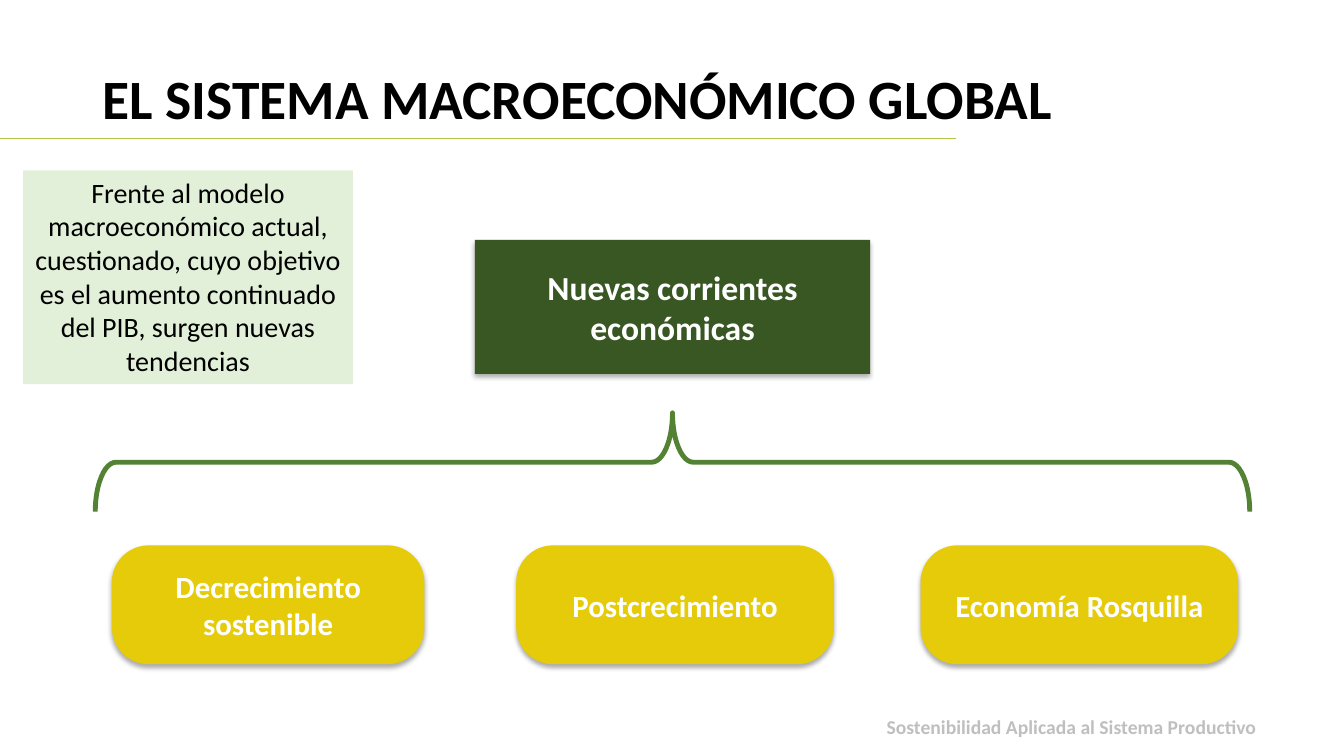
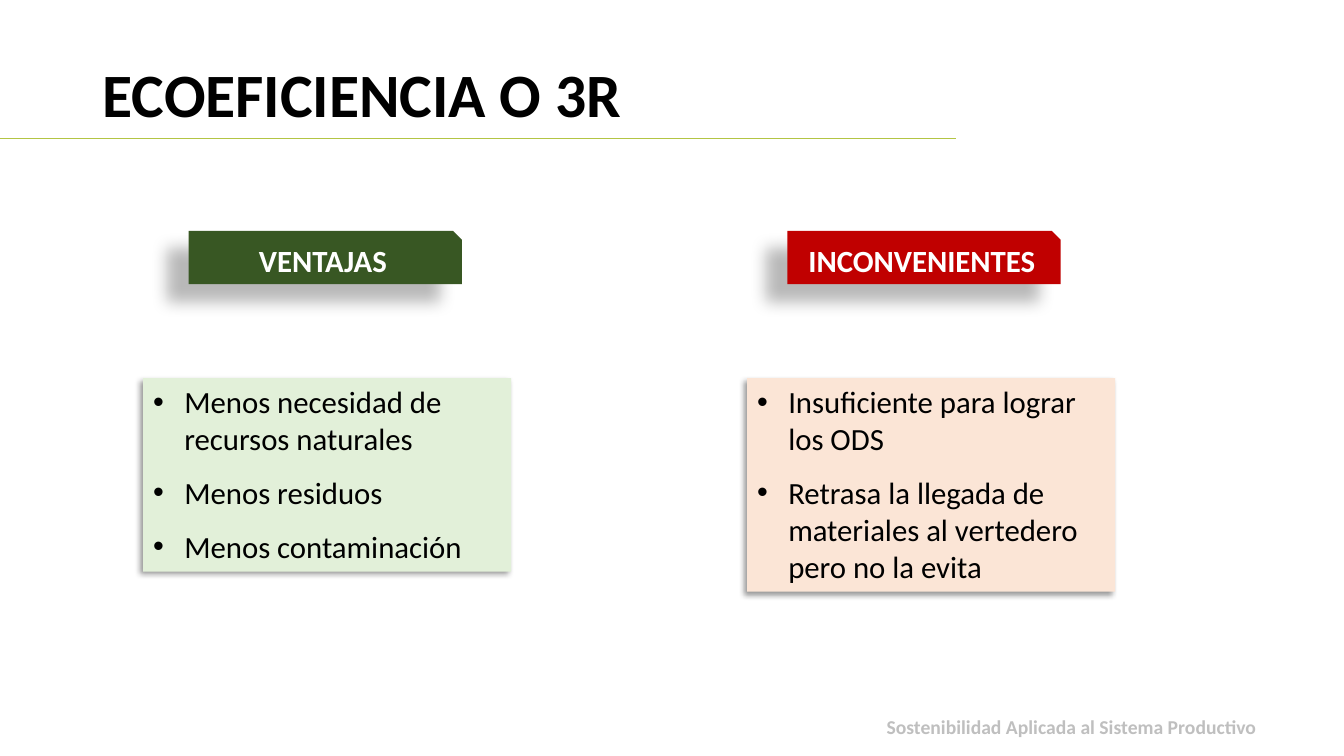
from dataclasses import dataclass

from lxml import etree
from pptx import Presentation
from pptx import util as u
from pptx.dml.color import RGBColor
from pptx.enum import shapes, text
from pptx.oxml.ns import qn

PX = 9144  # EMU per px, 100 px to the inch


@dataclass(frozen=True)
class Theme:
    font: str = "Calibri"
    # Colours
    black: str = "000000"
    white: str = "FFFFFF"
    grey: str = "BFBFBF"
    rule: str = "B3C544"
    dark_green: str = "385723"
    green: str = "548235"
    pale_green: str = "E2F0D9"
    yellow: str = "E5CB09"
    red: str = "C00000"
    peach: str = "FBE5D6"
    # Type sizes
    title: float = 44
    long_title: float = 39.6
    head: float = 24
    body: float = 22
    note: float = 20
    footer: float = 14
    # Shadows: opacity %, blur pt, distance pt, direction in degrees
    soft: tuple = (32, 3.5, 2.2, 90)
    cast: tuple = (28, 11.8, 19.7, 141)
    edge: tuple = (40, 4, 3, 135)


T = Theme()
SHAPE = shapes.MSO_SHAPE
ALIGN = text.PP_ALIGN
ANCHOR = text.MSO_ANCHOR


def px(*lengths):
    return [u.Emu(n * PX) for n in lengths]


def rgb(value):
    return RGBColor.from_string(value)


# Text and effects
def write(s, lines, size, color, bold=False, align=ALIGN.CENTER,
          anchor=ANCHOR.MIDDLE, spacing=None):
    tf = s.text_frame
    tf.word_wrap = True
    tf.vertical_anchor = anchor
    tf.text = "\n".join(lines)
    for p in tf.paragraphs:
        p.alignment = align
        p.line_spacing = spacing
        for r in p.runs:
            r.font.name = T.font
            r.font.size = u.Pt(size)
            r.font.bold = bold
            r.font.color.rgb = rgb(color)


def add_bullets(tf):
    for i, p in enumerate(tf.paragraphs):
        p.space_before = u.Pt(6 if i else 0)
        p.space_after = u.Pt(6)
        pPr = p._p.get_or_add_pPr()
        indent = 31 * PX
        pPr.set("marL", str(indent))
        pPr.set("indent", str(-indent))
        etree.SubElement(pPr, qn("a:buFont"), typeface="Arial")
        etree.SubElement(pPr, qn("a:buChar"), char="•")


def add_shadow(s, opacity, blur, dist, angle):
    effects = s._element.spPr.find(qn("a:effectLst"))
    shadow = etree.SubElement(
        effects, qn("a:outerShdw"), blurRad=str(u.Pt(blur)),
        dist=str(u.Pt(dist)), dir=str(angle * 60000), rotWithShape="0")
    color = etree.SubElement(shadow, qn("a:srgbClr"), val=T.black)
    etree.SubElement(color, qn("a:alpha"), val=str(opacity * 1000))


# Kinds of element
def add_label(slide, box, lines, size, color, **style):
    s = slide.shapes.add_textbox(*px(*box))
    write(s, lines, size, color, bold=True, spacing=0.9, **style)


def add_box(slide, kind, box, fill, shadow=None):
    s = slide.shapes.add_shape(kind, *px(*box))
    s.fill.solid()
    s.fill.fore_color.rgb = rgb(fill)
    s.line.fill.background()
    s.shadow.inherit = False
    if shadow:
        add_shadow(s, *shadow)
    return s


def add_brace(slide, box):
    """Right brace turned to point up; box is its frame before the turn."""
    s = slide.shapes.add_shape(SHAPE.RIGHT_BRACE, *px(*box))
    s.rotation = 270
    s.adjustments[0] = 0.21
    s.adjustments[1] = 0.5
    s.fill.background()
    s.line.color.rgb = rgb(T.green)
    s.line.width = u.Pt(3.5)
    s.shadow.inherit = False


def add_slide(prs, title, size):
    """Blank slide with the shared title, rule and footer."""
    slide = prs.slides.add_slide(prs.slide_layouts[6])
    add_label(slide, (92, 58, 1006, 77), [title], size, T.black,
              align=ALIGN.LEFT, anchor=ANCHOR.BOTTOM)
    rule = slide.shapes.add_connector(
        shapes.MSO_CONNECTOR.STRAIGHT, *px(0, 137, 948, 137))
    rule.line.color.rgb = rgb(T.rule)
    rule.line.width = u.Pt(0.5)
    etree.SubElement(rule._element.spPr, qn("a:effectLst"))
    add_label(slide, (736, 707, 520, 43),
              ["Sostenibilidad Aplicada al Sistema Productivo"],
              T.footer, T.grey, align=ALIGN.RIGHT, anchor=ANCHOR.TOP)
    return slide


# Slides
def build_macroeconomy(prs):
    slide = add_slide(prs, "EL SISTEMA MACROECONÓMICO GLOBAL", T.long_title)

    note = add_box(slide, SHAPE.RECTANGLE, (23, 169, 327, 212), T.pale_green)
    write(note, ["Frente al modelo macroeconómico actual, cuestionado, cuyo "
                 "objetivo es el aumento continuado del PIB, surgen nuevas "
                 "tendencias"], T.note, T.black, anchor=ANCHOR.TOP)

    # Three currents under the brace
    currents = [("Decrecimiento sostenible", 310),
                ("Postcrecimiento", 315),
                ("Economía Rosquilla", 315)]
    for i, (name, width) in enumerate(currents):
        card = add_box(slide, SHAPE.ROUNDED_RECTANGLE,
                       (111 + 401 * i, 541, width, 118), T.yellow, T.soft)
        card.adjustments[0] = 0.31
        write(card, [name], T.body, T.white, bold=True)

    add_brace(slide, (618, -114, 98, 1145))
    head = add_box(slide, SHAPE.RECTANGLE, (471, 238, 392, 133),
                   T.dark_green, T.soft)
    write(head, ["Nuevas corrientes económicas"], T.head, T.white, bold=True)


def build_ecoefficiency(prs):
    slide = add_slide(prs, "ECOEFICIENCIA O 3R", T.title)

    # Each column: heading, its left and fill, then list left, height and fill
    columns = [
        ("VENTAJAS", 187, T.dark_green, 142, 192, T.pale_green,
         ["Menos necesidad de recursos naturales", "Menos residuos",
          "Menos contaminación"]),
        ("INCONVENIENTES", 781, T.red, 741, 212, T.peach,
         ["Insuficiente para lograr los ODS",
          "Retrasa la llegada de materiales al vertedero pero no la evita"]),
    ]
    for name, head_x, head_fill, list_x, height, list_fill, items in columns:
        head = add_box(slide, SHAPE.SNIP_1_RECTANGLE, (head_x, 229, 271, 53),
                       head_fill, T.cast)
        write(head, [name], T.body, T.white, bold=True)
        points = add_box(slide, SHAPE.RECTANGLE, (list_x, 375, 365, height),
                         list_fill, T.edge)
        write(points, items, T.body, T.black, align=ALIGN.LEFT,
              anchor=ANCHOR.TOP)
        add_bullets(points.text_frame)


def main():
    prs = Presentation()
    prs.slide_width, prs.slide_height = px(1333, 750)
    build_macroeconomy(prs)
    build_ecoefficiency(prs)
    prs.save("out.pptx")


if __name__ == "__main__":
    main()
